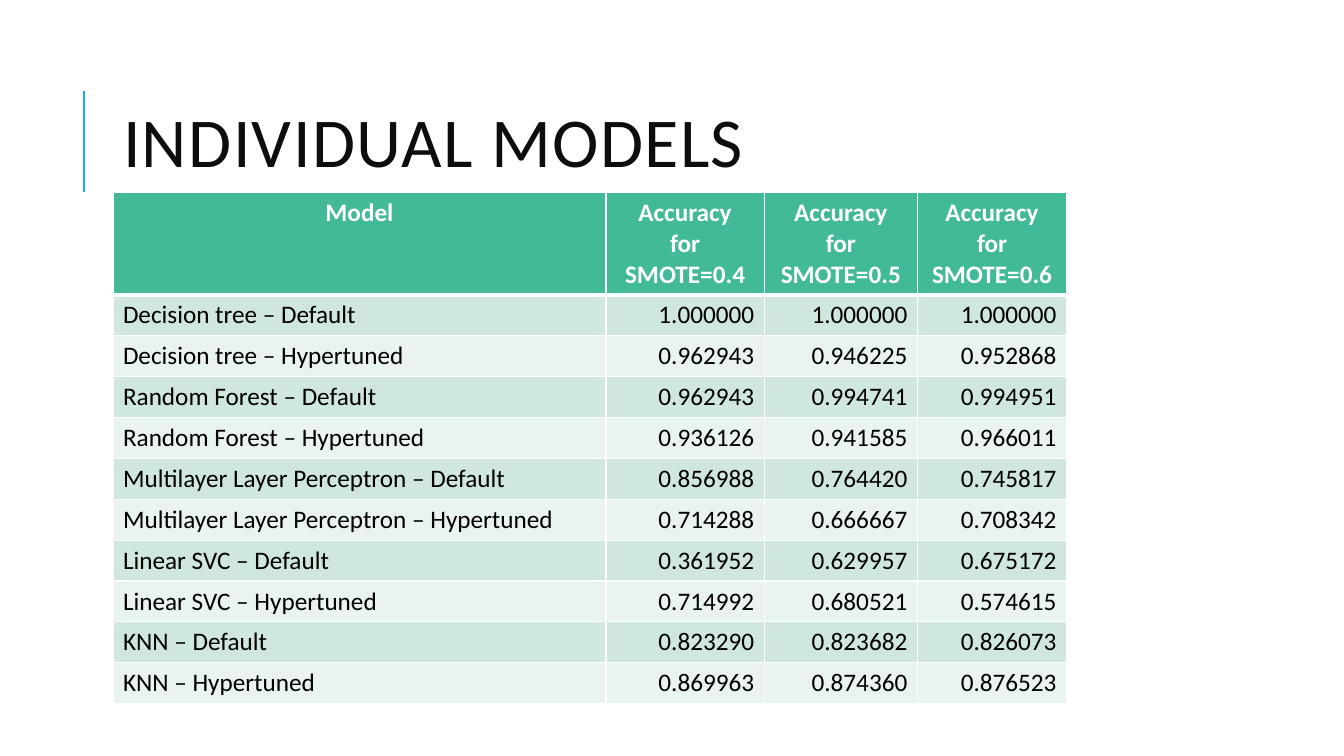
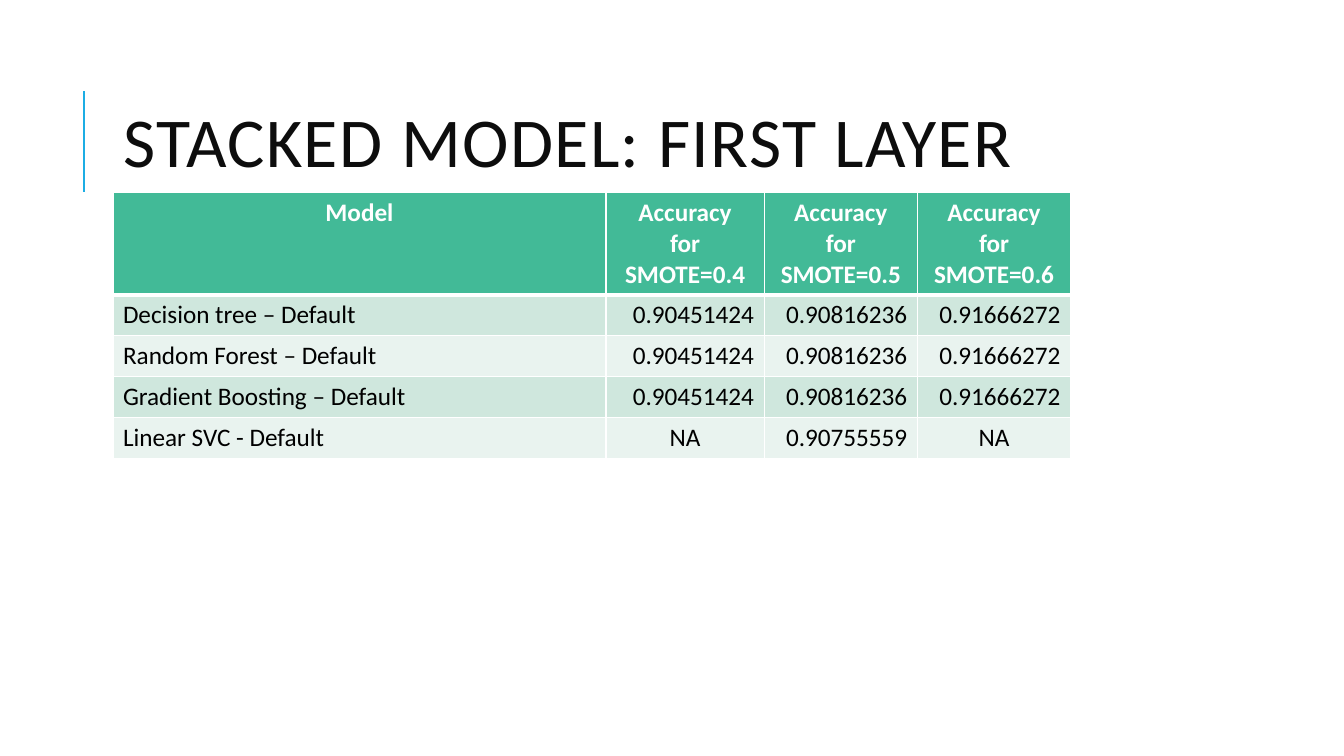
from lxml.etree import SubElement
from pptx import Presentation
from pptx.dml.color import RGBColor
from pptx.enum.shapes import MSO_CONNECTOR
from pptx.enum.text import MSO_ANCHOR, MSO_AUTO_SIZE, PP_ALIGN
from pptx.oxml.ns import qn
from pptx.util import Inches, Pt

FONT = "Calibri"
COLORS = {
    "accent": "1CADE4",
    "title": "0D0D0D",
    "header": "42BA97",
    "odd row": "CFE7DD",
    "even row": "E9F3EF",
    "body": "000000",
    "white": "FFFFFF",
}
LEFT = 1.12
TABLE_TOP = 1.91
HEADER_HEIGHT, ROW_HEIGHT = 1.0, 0.4
TITLE_ONLY = 5

HEADINGS = ["Model"] + [f"Accuracy\nfor\nSMOTE={ratio}" for ratio in (0.4, 0.5, 0.6)]

INDIVIDUAL_MODELS = [
    ("Decision tree – Default", "1.000000", "1.000000", "1.000000"),
    ("Decision tree – Hypertuned", "0.962943", "0.946225", "0.952868"),
    ("Random Forest – Default", "0.962943", "0.994741", "0.994951"),
    ("Random Forest – Hypertuned", "0.936126", "0.941585", "0.966011"),
    ("Multilayer Layer Perceptron – Default", "0.856988", "0.764420", "0.745817"),
    ("Multilayer Layer Perceptron – Hypertuned", "0.714288", "0.666667", "0.708342"),
    ("Linear SVC – Default", "0.361952", "0.629957", "0.675172"),
    ("Linear SVC – Hypertuned", "0.714992", "0.680521", "0.574615"),
    ("KNN – Default", "0.823290", "0.823682", "0.826073"),
    ("KNN – Hypertuned", "0.869963", "0.874360", "0.876523"),
]

FIRST_LAYER = [
    ("Decision tree – Default", "0.90451424", "0.90816236", "0.91666272"),
    ("Random Forest – Default", "0.90451424", "0.90816236", "0.91666272"),
    ("Gradient Boosting – Default", "0.90451424", "0.90816236", "0.91666272"),
    ("Linear SVC - Default", "NA", "0.90755559", "NA"),
]


def rgb(name):
    return RGBColor.from_string(COLORS[name])


def write_text(frame, text, size=18, color="body", bold=False,
               align=PP_ALIGN.LEFT, line_spacing=None, tracking=None):
    """Write one paragraph per line of text, all in the same format."""
    frame.text = text
    for paragraph in frame.paragraphs:
        paragraph.alignment = align
        if line_spacing:
            paragraph.line_spacing = line_spacing
        for run in paragraph.runs:
            run.font.name = FONT
            run.font.size = Pt(size)
            run.font.bold = bold
            run.font.color.rgb = rgb(color)
            if tracking:
                run.font._element.set("spc", str(tracking * 100))


def add_accent_line(slide):
    accent = slide.shapes.add_connector(
        MSO_CONNECTOR.STRAIGHT, Inches(0.83), Inches(1.9), Inches(0.83), Inches(0.9))
    accent.line.color.rgb = rgb("accent")
    accent.line.width = Pt(1.5)
    SubElement(accent._element.spPr, qn("a:effectLst"))


def set_title(slide, text):
    title = slide.shapes.title
    title.left, title.top = Inches(LEFT), Inches(0.64)
    title.width, title.height = Inches(10.63), Inches(1.64)
    frame = title.text_frame
    frame.word_wrap = True
    frame.auto_size = MSO_AUTO_SIZE.NONE
    frame.vertical_anchor = MSO_ANCHOR.MIDDLE
    write_text(frame, text, size=50, color="title", line_spacing=0.8, tracking=1)


def set_borders(cell, top=1, bottom=1):
    """Draw white borders; widths are in points."""
    properties = cell._tc.get_or_add_tcPr()
    for side, width in (("L", 1), ("R", 1), ("T", top), ("B", bottom)):
        border = SubElement(properties, qn(f"a:ln{side}"), w=str(Pt(width)))
        fill = SubElement(border, qn("a:solidFill"))
        SubElement(fill, qn("a:srgbClr"), val=COLORS["white"])


def fill_cell(cell, text, fill, top=1, bottom=1, **text_format):
    set_borders(cell, top, bottom)
    cell.fill.solid()
    cell.fill.fore_color.rgb = rgb(fill)
    write_text(cell.text_frame, text, **text_format)


def value_alignment(column, text):
    if column == 0:
        return PP_ALIGN.LEFT
    return PP_ALIGN.CENTER if text == "NA" else PP_ALIGN.RIGHT


def add_accuracy_table(slide, models, widths):
    height = HEADER_HEIGHT + ROW_HEIGHT * len(models)
    table = slide.shapes.add_table(
        len(models) + 1, len(widths), Inches(LEFT), Inches(TABLE_TOP),
        Inches(sum(widths)), Inches(height)).table
    for column, width in zip(table.columns, widths):
        column.width = Inches(width)
    for index, row in enumerate(table.rows):
        row.height = Inches(ROW_HEIGHT if index else HEADER_HEIGHT)

    # Heading row with a thick rule below
    for column, heading in enumerate(HEADINGS):
        fill_cell(table.cell(0, column), heading, "header", bottom=3,
                  color="white", bold=True, align=PP_ALIGN.CENTER)

    # Banded rows of accuracies
    for index, model in enumerate(models, start=1):
        band = "odd row" if index % 2 else "even row"
        for column, text in enumerate(model):
            fill_cell(table.cell(index, column), text, band,
                      top=3 if index == 1 else 1,
                      align=value_alignment(column, text))


def add_results_slide(deck, title, models, widths):
    slide = deck.slides.add_slide(deck.slide_layouts[TITLE_ONLY])
    add_accent_line(slide)
    set_title(slide, title)
    add_accuracy_table(slide, models, widths)


def main():
    deck = Presentation()
    deck.slide_width, deck.slide_height = Inches(13.33), Inches(7.5)
    add_results_slide(deck, "INDIVIDUAL MODELS", INDIVIDUAL_MODELS,
                      (4.89, 1.57, 1.52, 1.48))
    add_results_slide(deck, "STACKED MODEL: FIRST LAYER", FIRST_LAYER,
                      (4.89, 1.57, 1.52, 1.52))
    deck.save("out.pptx")


if __name__ == "__main__":
    main()
